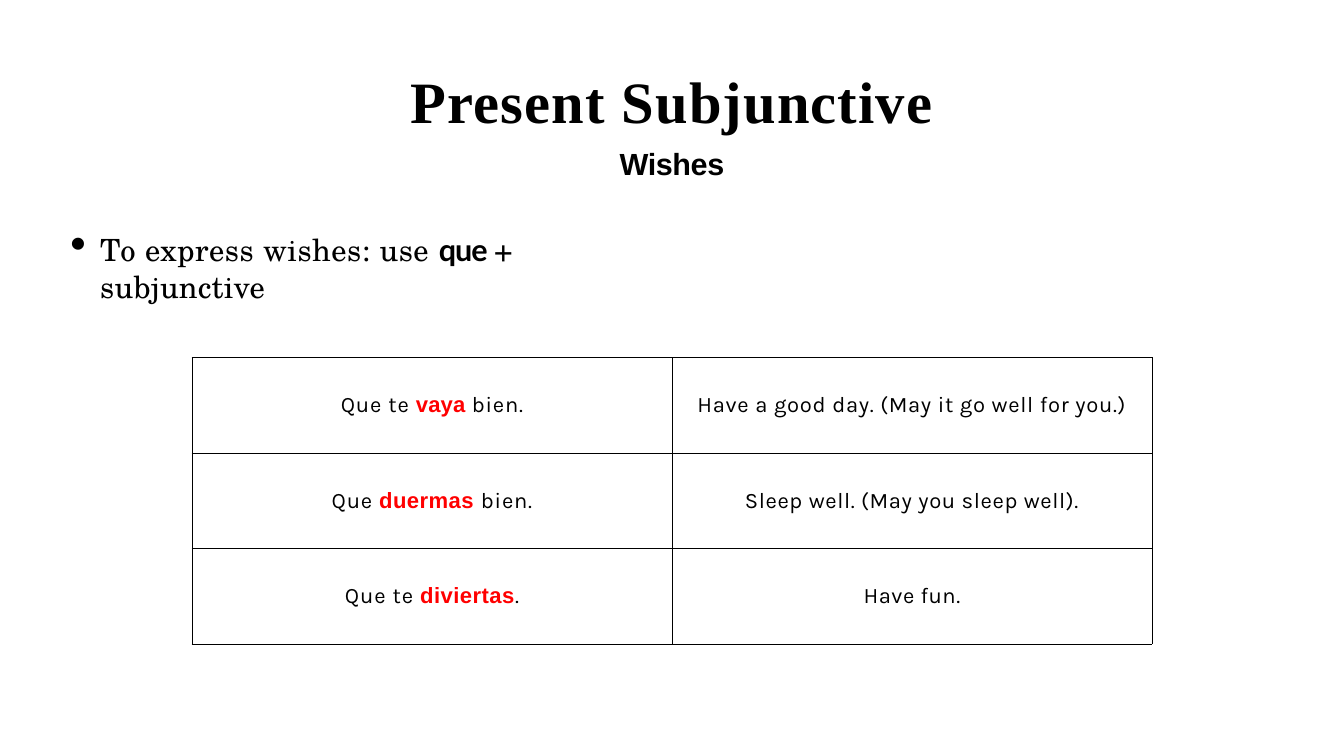
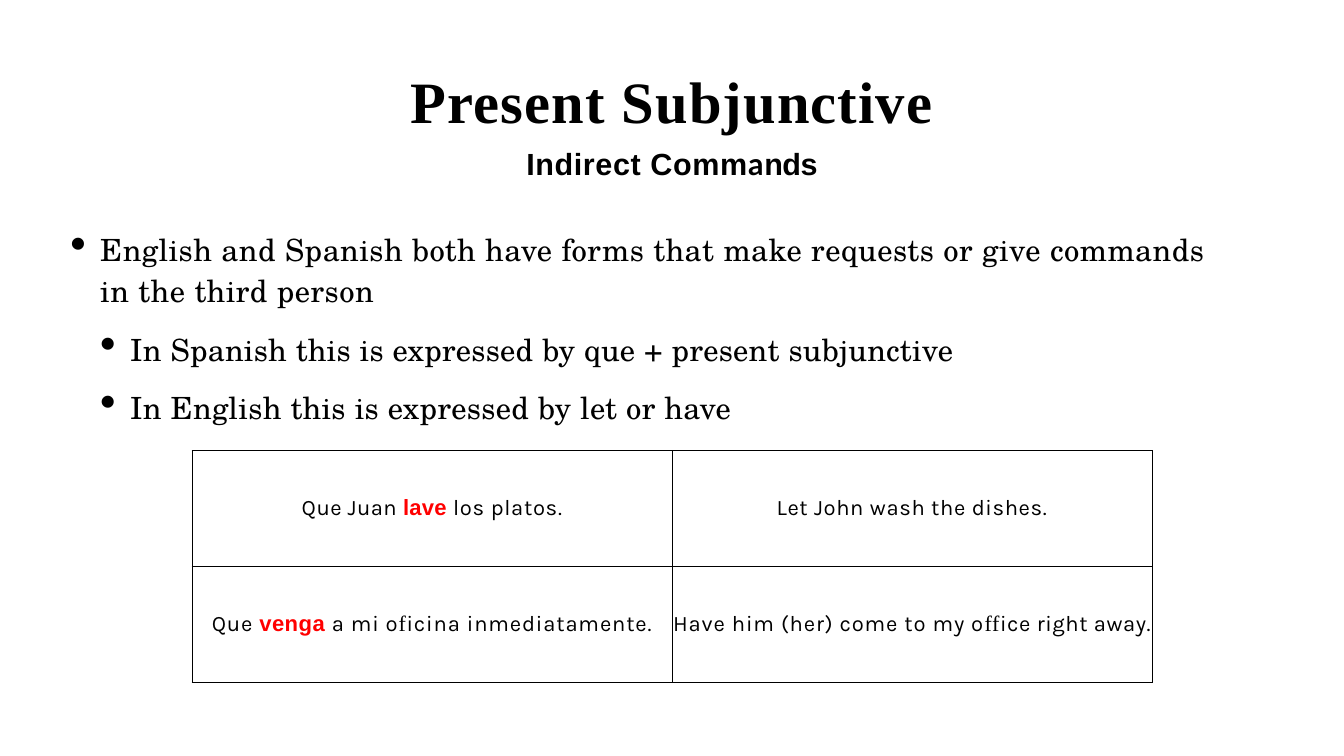
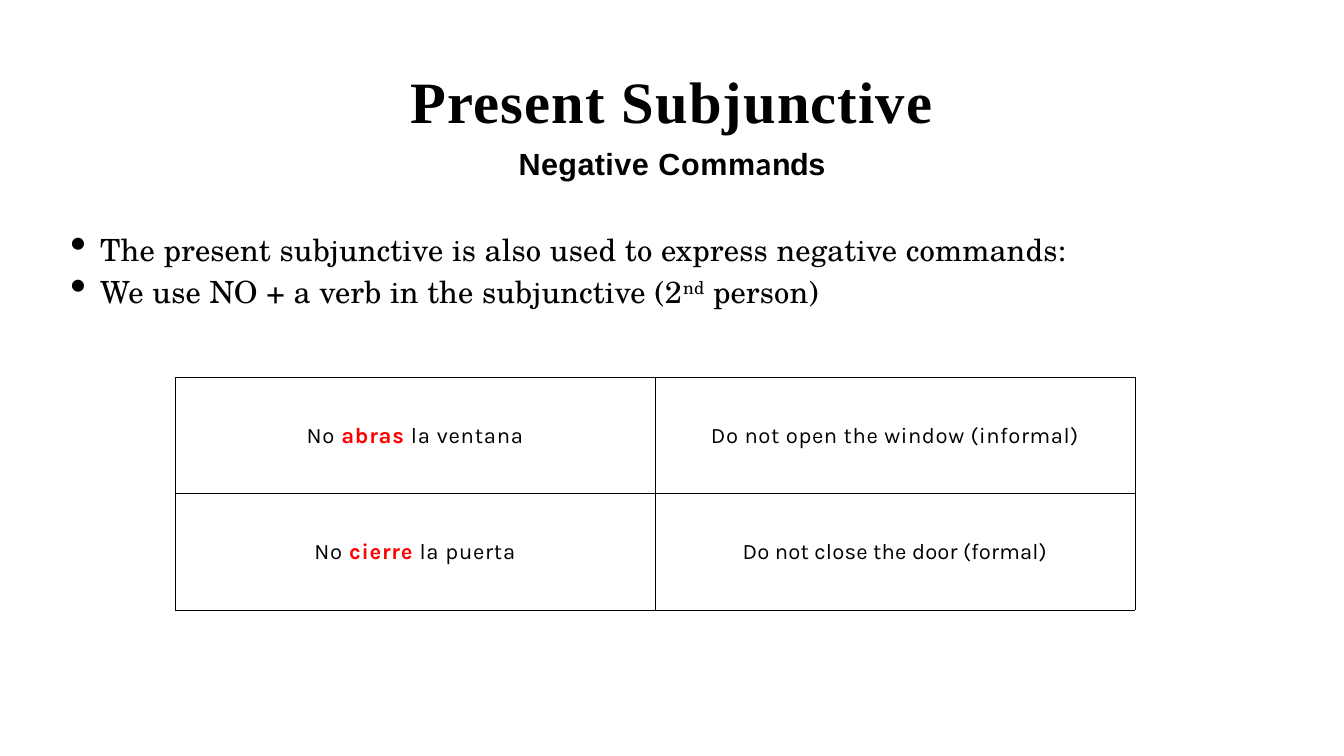
"""Build three Spanish grammar slides on the present subjunctive."""
from lxml.etree import SubElement
from pptx import Presentation
from pptx.dml.color import RGBColor
from pptx.enum.text import MSO_ANCHOR as Anchor, MSO_AUTO_SIZE as AutoSize, PP_ALIGN as Align
from pptx.oxml.ns import qn
from pptx.util import Inches, Pt

WIDTH, HEIGHT = Inches(21.99), Inches(12.37)
TITLE_ONLY = 5
COLORS = {"ink": "000000", "verb": "FF0000"}
STYLES = {
    "title": {"name": "Times New Roman", "size": Pt(69), "bold": True},
    "topic": {"name": "Arial", "size": Pt(36), "bold": True},
    "topic lato": {"name": "Lato", "size": Pt(36), "bold": True},
    "point": {"name": "TeX Gyre Schola", "size": Pt(36), "bold": False},
    "keyword": {"name": "Lato", "size": Pt(36), "bold": True},
    "phrase": {"name": "Karla", "size": Pt(26), "bold": False},
    "ligature": {"name": "Times New Roman", "size": Pt(26), "bold": False},
    "verb": {"name": "Arial", "size": Pt(26), "bold": True},
    "karla verb": {"name": "Karla", "size": Pt(26), "bold": True},
}
TABLE_WIDTH = 71.44
TABLE_LEFT = (100 - TABLE_WIDTH) / 2
COMMANDS = [("Comm", "topic", 0.7), ("a", "topic lato", 0.8), ("nds", "topic", -0.6)]


def across(percent):
    """Return a percentage of the slide width."""
    return round(WIDTH * percent / 100)


def down(percent):
    """Return a percentage of the slide height."""
    return round(HEIGHT * percent / 100)


def apply(target, values):
    """Set every attribute in values on the target."""
    for attribute, value in values.items():
        setattr(target, attribute, value)


def write(paragraph, runs):
    """Add (text, style, letter spacing, raise) runs to a paragraph."""
    for text, style, spacing, *raised in runs:
        run = paragraph.add_run()
        run.text = text
        apply(run.font, STYLES[style])
        color = COLORS["verb" if "verb" in style else "ink"]
        run.font.color.rgb = RGBColor.from_string(color)
        properties = run._r.get_or_add_rPr()
        properties.set("spc", str(round(spacing * 100)))
        if raised:
            properties.set("baseline", str(raised[0] * 1000))


def prepare(frame, top_inset):
    """Give a text frame wrapping, fixed size and a top inset only."""
    apply(frame, {
        "word_wrap": True, "auto_size": AutoSize.NONE, "vertical_anchor": Anchor.TOP,
        "margin_left": 0, "margin_right": 0, "margin_bottom": 0,
        "margin_top": Inches(top_inset),
    })


def add_heading(slide, topic):
    """Fill the title placeholder with the shared title and a topic line."""
    heading = slide.shapes.title
    apply(heading, {"left": across(27), "top": down(5.17),
                    "width": across(46), "height": down(17.95)})
    frame = heading.text_frame
    prepare(frame, 0.43)
    lines = [frame.paragraphs[0], frame.add_paragraph()]
    for line, runs in zip(lines, ([("Present Subjunctive", "title", 1.4)], topic)):
        apply(line, {"alignment": Align.CENTER, "line_spacing": 1.0})
        write(line, runs)
    lines[1].space_before = Pt(10.9)


def add_points(slide, points, top, width, height):
    """Add bulleted (level, line spacing, space before, runs) points."""
    box = slide.shapes.add_textbox(across(5.14), down(top), across(width), down(height))
    frame = box.text_frame
    prepare(frame, 0.03)
    for index, (level, leading, gap, runs) in enumerate(points):
        point = frame.add_paragraph() if index else frame.paragraphs[0]
        properties = point._p.get_or_add_pPr()
        properties.set("marL", str(Inches((0.51, 1)[level])))
        properties.set("indent", str(Inches(-0.49)))
        SubElement(properties, qn("a:buSzPct")).set("val", "151000")
        SubElement(properties, qn("a:buChar")).set("char", "•")
        apply(point, {"level": level, "line_spacing": leading})
        if index:
            point.space_before = Pt(gap)
        write(point, runs)


def outline(cell):
    """Draw a thin dark border on all sides of a cell."""
    properties = cell._tc.get_or_add_tcPr()
    for position, side in enumerate(("lnL", "lnR", "lnT", "lnB")):
        border = properties.makeelement(qn(f"a:{side}"), {"w": str(Pt(1))})
        fill = SubElement(border, qn("a:solidFill"))
        SubElement(fill, qn("a:srgbClr")).set("val", COLORS["ink"])
        properties.insert(position, border)


def add_examples(slide, examples, top, row_height, left=TABLE_LEFT):
    """Add a table of Spanish phrases beside their translations."""
    table = slide.shapes.add_table(
        len(examples), 2, across(left), down(top),
        across(TABLE_WIDTH), down(row_height * len(examples))).table
    apply(table, {"first_row": False, "horz_banding": False})
    for row, phrases in zip(table.rows, examples):
        row.height = down(row_height)
        for cell, runs in zip(row.cells, phrases):
            apply(cell, {"margin_left": 0, "margin_right": 0, "margin_top": 0,
                         "margin_bottom": 0, "vertical_anchor": Anchor.MIDDLE})
            cell.fill.background()
            outline(cell)
            paragraph = cell.text_frame.paragraphs[0]
            paragraph.alignment = Align.CENTER
            write(paragraph, runs)


def add_wishes(slide):
    """Show wishes made with que and the subjunctive."""
    add_heading(slide, [("Wishes", "topic", -0.5)])
    add_points(slide, [
        (0, 1.0, 0, [("To express wishes: use ", "point", 0.6), ("que ", "keyword", -1.2),
                     ("+ ", "point", -3.4), ("subjunctive", "point", 0.3)]),
    ], 30.32, 44.61, 10)
    add_examples(slide, [
        ([("Que te ", "phrase", 1), ("vaya ", "verb", 0.1), ("bien.", "phrase", 0.9)],
         [("Have a good day. (May it go well for you.)", "phrase", 0.8)]),
        ([("Que ", "phrase", 0.9), ("duermas ", "verb", 0.5), ("bien.", "phrase", 0.9)],
         [("Sleep well. (May you sleep well).", "phrase", 0.7)]),
        ([("Que te ", "phrase", 1), ("diviertas", "verb", 0.5), (".", "phrase", 0.5)],
         [("Have fun.", "phrase", 0.6)]),
    ], 47.29, 12.63)


def add_indirect_commands(slide):
    """Show commands given in the third person."""
    add_heading(slide, [("Indirect ", "topic", 0.7), *COMMANDS])
    add_points(slide, [
        (0, 1.13, 0, [("English and Spanish both have forms that make requests or give "
                       "commands in the third person", "point", 0.6)]),
        (1, 1.0, 25.6, [("In Spanish this is expressed by que + present subjunctive",
                         "point", 0.3)]),
        (1, 1.0, 25.6, [("In English this is expressed by let or have", "point", 0.4)]),
    ], 29.67, 87.3, 27.08)
    add_examples(slide, [
        ([("Que Juan ", "phrase", 0.5), ("lave ", "verb", 0.2),
          ("los platos.", "phrase", 0.8)],
         [("Let John wash the dishes.", "phrase", 0.7)]),
        ([("Que ", "phrase", 0.9), ("venga ", "verb", 0.5), ("a mi o", "phrase", 0.9),
          ("f", "ligature", 0.8), ("icina inmediatamente.", "phrase", 1)],
         [("Have him (her) come to my o", "phrase", 1), ("ff", "ligature", 0.6),
          ("ice right away.", "phrase", 0.65)]),
    ], 59.58, 15.36)


def add_negative_commands(slide):
    """Show commands made with no and the subjunctive."""
    add_heading(slide, [("Negative ", "topic", 0.5), *COMMANDS])
    add_points(slide, [
        (0, 1.13, 0, [("The present subjunctive is also used to express negative commands:",
                       "point", 0.2)]),
        (0, 1.13, 0.9, [("We use NO + a verb in the subjunctive (2", "point", 0.2),
                        ("nd", "point", 0.2, 30), (" person)", "point", 0.2)]),
    ], 29.67, 87.3, 10.83)
    add_examples(slide, [
        ([("No ", "phrase", 0.9), ("abras", "karla verb", 0.9),
          (" la ventana", "phrase", 0.9)],
         [("Do not open the window (informal)", "phrase", 0.7)]),
        ([("No ", "phrase", 0.9), ("cierre", "karla verb", 0.9),
          (" la puerta", "phrase", 0.9)],
         [("Do not close the door (formal)", "phrase", 0.2)]),
    ], 49.96, 15.36, left=13.01)


def main():
    """Build and save the presentation."""
    presentation = Presentation()
    apply(presentation, {"slide_width": WIDTH, "slide_height": HEIGHT})
    layout = presentation.slide_layouts[TITLE_ONLY]
    for fill_slide in (add_wishes, add_indirect_commands, add_negative_commands):
        fill_slide(presentation.slides.add_slide(layout))
    presentation.save("out.pptx")


if __name__ == "__main__":
    main()
